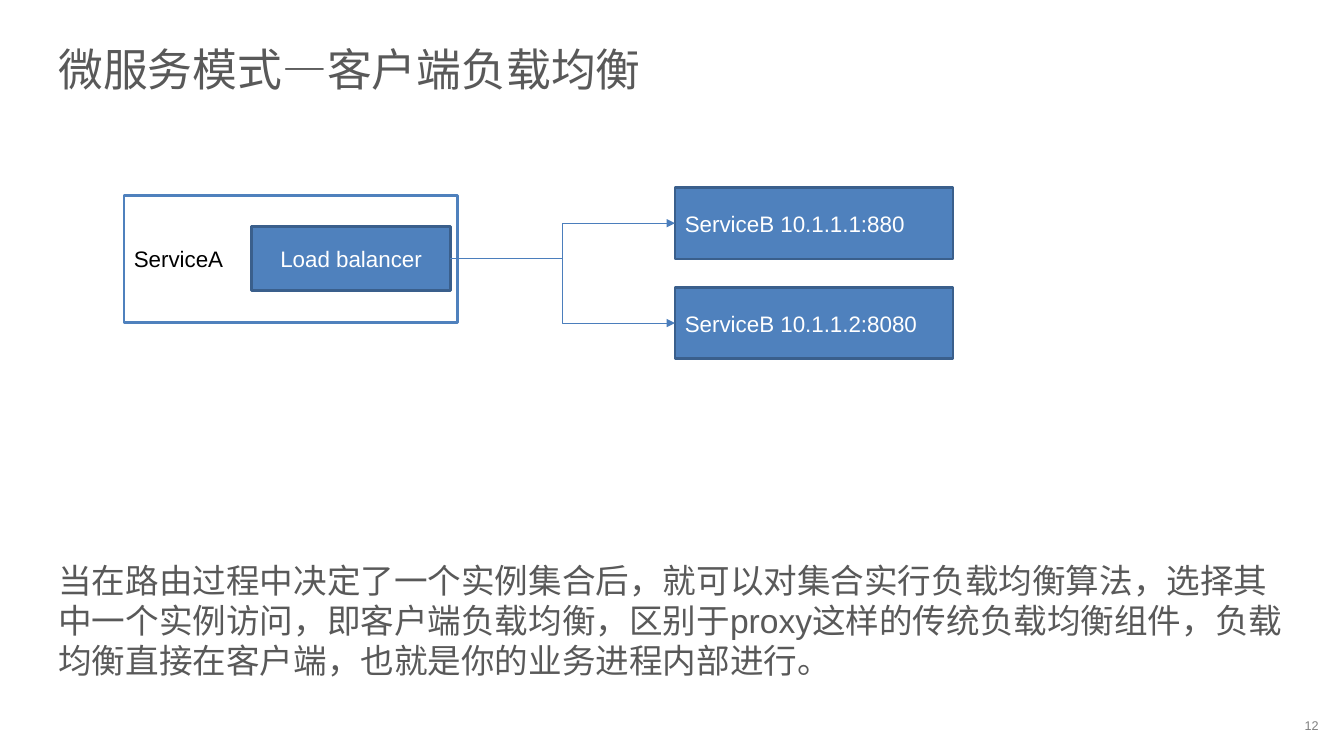
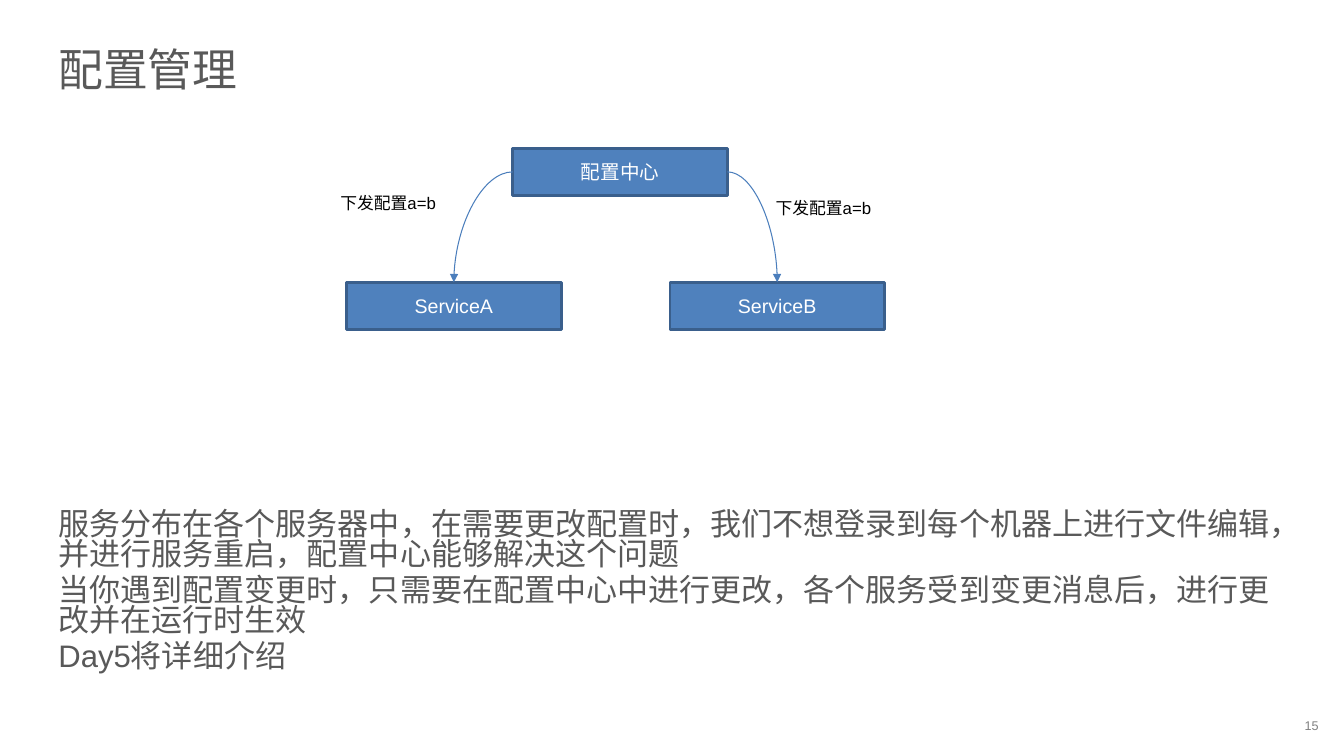
from dataclasses import dataclass

from lxml import etree
from pptx import Presentation
from pptx.dml.color import RGBColor
from pptx.enum.lang import MSO_LANGUAGE_ID
from pptx.enum.shapes import MSO_CONNECTOR, MSO_SHAPE
from pptx.enum.text import MSO_ANCHOR, PP_ALIGN
from pptx.oxml.ns import qn
from pptx.util import Inches, Pt

RECT = MSO_SHAPE.RECTANGLE
ELBOW, CURVE = MSO_CONNECTOR.ELBOW, MSO_CONNECTOR.CURVE
LEFT, CENTER = PP_ALIGN.LEFT, PP_ALIGN.CENTER
TOP, MIDDLE = MSO_ANCHOR.TOP, MSO_ANCHOR.MIDDLE
CHINESE = MSO_LANGUAGE_ID.SIMPLIFIED_CHINESE
SITE_TOP, SITE_LEFT, SITE_RIGHT = 0, 1, 3


@dataclass(frozen=True)
class Theme:
    """Colours, type sizes and line widths of the deck."""
    font: str = "Arial"
    ink: str = "595959"
    gray: str = "808080"
    black: str = "000000"
    white: str = "FFFFFF"
    blue: str = "4F81BD"
    edge: str = "3A5F8C"
    wire: str = "4B7EBC"
    title: float = 32
    body: float = 24
    dense: float = 22.2
    node: float = 16
    small: float = 14
    label: float = 12
    page: float = 9
    border: float = 2
    thin: float = 0.75


THEME = Theme()
WIDE = {"margin_left": Inches(0.13), "margin_right": Inches(0.13),
        "margin_top": Inches(0.07), "margin_bottom": Inches(0.07)}
FOOT = {"margin_left": 0, "margin_right": 0,
        "margin_top": Inches(0.22), "margin_bottom": 0}


def apply(item, values):
    """Set each attribute of the item from a dict."""
    for name, value in values.items():
        setattr(item, name, value)


def write(shape, lines, size, color, align=LEFT, anchor=TOP, frame=None, para=None):
    """Write lines of text into a shape, one paragraph each."""
    text = shape.text_frame
    apply(text, {"word_wrap": True, "vertical_anchor": anchor, **(frame or {})})
    for index, line in enumerate(lines):
        part = text.add_paragraph() if index else text.paragraphs[0]
        apply(part, {"alignment": align, **(para or {})})
        run = part.add_run()
        run.text = line
        apply(run.font, {"name": THEME.font, "size": Pt(size), "language_id": CHINESE})
        run.font.color.rgb = RGBColor.from_string(color)


def text(slide, box, lines, size, color, **style):
    """Add a text box."""
    shape = slide.shapes.add_textbox(*map(Inches, box))
    write(shape, lines, size, color, **style)


def node(slide, box, name, size, align=CENTER, fill=THEME.blue,
         edge=THEME.edge, color=THEME.white):
    """Add a bordered box with a name in it."""
    shape = slide.shapes.add_shape(RECT, *map(Inches, box))
    shape.shadow.inherit = False
    shape.fill.solid()
    shape.fill.fore_color.rgb = RGBColor.from_string(fill)
    shape.line.color.rgb = RGBColor.from_string(edge)
    shape.line.width = Pt(THEME.border)
    write(shape, [name], size, color, align, MIDDLE)
    return shape


def arrow(slide, kind, start, exit, end, entry, preset):
    """Join two nodes with an arrow."""
    link = slide.shapes.add_connector(kind, 0, 0, 0, 0)
    link.begin_connect(start, exit)
    link.end_connect(end, entry)
    link.line.color.rgb = RGBColor.from_string(THEME.wire)
    link.line.width = Pt(THEME.thin)
    props = link.element.spPr
    props.find(qn("a:prstGeom")).set("prst", preset)
    etree.SubElement(props.find(qn("a:ln")), qn("a:tailEnd"), type="triangle")
    etree.SubElement(props, qn("a:effectLst"))


def page(deck, title, number):
    """Add a slide with its title and page number."""
    slide = deck.slides.add_slide(deck.slide_layouts[6])
    text(slide, (12.95, 6.94, 0.36, 0.47), [number], THEME.page, THEME.gray, frame=FOOT)
    text(slide, (0.45, 0.36, 12.44, 0.64), [title], THEME.title, THEME.ink,
         anchor=MIDDLE, frame=WIDE)
    return slide


def prose(slide, box, lines, size, pitch=1.0):
    """Add the explanation under a diagram."""
    para = {"line_spacing": pitch, "space_before": Pt(size * 0.2)}
    text(slide, box, lines, size, THEME.ink, frame=WIDE, para=para)


def balance(slide, left, top):
    """Draw a client that spreads calls over two instances."""
    node(slide, (left, top + 0.08, 3.31, 1.26), "ServiceA", THEME.node, LEFT,
         THEME.white, THEME.blue, THEME.black)
    client = node(slide, (left + 1.27, top + 0.39, 1.97, 0.63), "Load balancer", THEME.node)
    for row, name in enumerate(["ServiceB 10.1.1.1:880", "ServiceB 10.1.1.2:8080"]):
        box = (left + 5.47, top + row * 0.99, 2.76, 0.71)
        server = node(slide, box, name, THEME.node, LEFT)
        arrow(slide, ELBOW, client, SITE_RIGHT, server, SITE_LEFT, "bentConnector3")


def config(slide, left, top):
    """Draw a centre that sends settings to two services."""
    size = (2.13, 0.47)
    center = node(slide, (left + 1.65, top, *size), "配置中心", THEME.small)
    sides = [("ServiceA", SITE_LEFT, -0.16, 0.39), ("ServiceB", SITE_RIGHT, 4.16, 0.44)]
    for col, (name, exit, across, down) in enumerate(sides):
        service = node(slide, (left + col * 3.21, top + 1.33, *size), name, THEME.small)
        arrow(slide, CURVE, center, exit, service, SITE_TOP, "curvedConnector2")
        text(slide, (left + across, top + down, 1.34, 0.3), ["下发配置a=b"],
             THEME.label, THEME.black)


def main():
    """Build and save the deck."""
    deck = Presentation()
    apply(deck, {"slide_width": Inches(13.34), "slide_height": Inches(7.5)})

    slide = page(deck, "微服务模式—客户端负载均衡", "12")
    prose(slide, (0.45, 5.48, 12.44, 1.97), [
        "当在路由过程中决定了一个实例集合后，就可以对集合实行负载均衡算法，"
        "选择其中一个实例访问，即客户端负载均衡，区别于proxy这样的传统负载均衡组件，"
        "负载均衡直接在客户端，也就是你的业务进程内部进行。"], THEME.body)
    balance(slide, 1.23, 1.86)

    slide = page(deck, "配置管理", "15")
    prose(slide, (0.45, 5.01, 12.44, 1.88), [
        "服务分布在各个服务器中，在需要更改配置时，我们不想登录到每个机器上进行文件编辑，"
        "并进行服务重启，配置中心能够解决这个问题",
        "当你遇到配置变更时，只需要在配置中心中进行更改，各个服务受到变更消息后，"
        "进行更改并在运行时生效",
        "Day5将详细介绍"], THEME.dense, 0.8)
    config(slide, 3.44, 1.47)

    deck.save("out.pptx")


if __name__ == "__main__":
    main()
